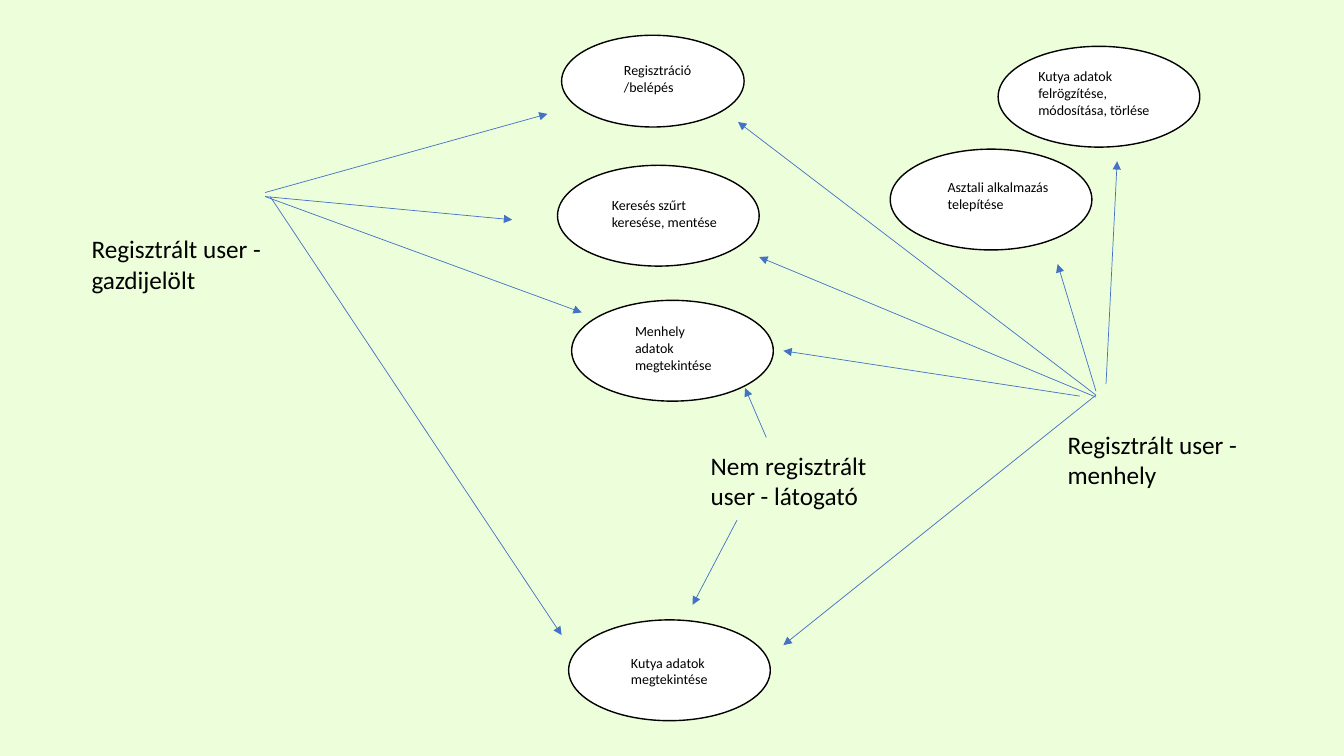
from dataclasses import dataclass

from lxml import etree
from pptx import Presentation
from pptx.dml.color import RGBColor
from pptx.enum.shapes import MSO_CONNECTOR, MSO_SHAPE
from pptx.enum.text import MSO_AUTO_SIZE
from pptx.oxml.ns import qn
from pptx.slide import Slide
from pptx.util import Emu, Pt

EMU_PER_PX = 9144
ELLIPSE = MSO_SHAPE.OVAL
STRAIGHT = MSO_CONNECTOR.STRAIGHT
FIT_TEXT = MSO_AUTO_SIZE.SHAPE_TO_FIT_TEXT

BACKGROUND = RGBColor(0xED, 0xFE, 0xDA)
WHITE = RGBColor(0xFF, 0xFF, 0xFF)
BLACK = RGBColor(0x00, 0x00, 0x00)
BLUE = RGBColor(0x44, 0x72, 0xC4)

FRAME_FORMAT = {"word_wrap": True, "auto_size": FIT_TEXT}
ACTOR_SIZE = 18
CASE_SIZE = 10


@dataclass(frozen=True)
class Box:
    left: int
    top: int
    width: int
    height: int

    def emu(self) -> tuple[Emu, Emu, Emu, Emu]:
        return px(self.left), px(self.top), px(self.width), px(self.height)


@dataclass(frozen=True)
class Label:
    text: str
    box: Box


@dataclass(frozen=True)
class UseCase:
    ellipse: Box
    label: Label


@dataclass(frozen=True)
class Arrow:
    start: tuple[int, int]
    end: tuple[int, int]


ACTORS = [
    Label("Regisztrált user - gazdijelölt", Box(81, 227, 195, 71)),
    Label("Regisztrált user - menhely", Box(1049, 421, 195, 71)),
    Label("Nem regisztrált user - látogató", Box(695, 442, 195, 71)),
]

USE_CASES = [
    UseCase(Box(557, 35, 181, 91),
            Label("Regisztráció/belépés", Box(609, 56, 88, 44))),
    UseCase(Box(553, 164, 200, 100),
            Label("Keresés szűrt keresése, mentése", Box(597, 190, 134, 44))),
    UseCase(Box(567, 298, 200, 100),
            Label("Menhely adatok megtekintése", Box(620, 315, 107, 61))),
    UseCase(Box(990, 46, 200, 100),
            Label("Kutya adatok felrögzítése, módosítása, törlése",
                  Box(1020, 62, 142, 61))),
    UseCase(Box(883, 148, 200, 100),
            Label("Asztali alkalmazás telepítése", Box(930, 172, 128, 44))),
    UseCase(Box(564, 615, 200, 100),
            Label("Kutya adatok megtekintése", Box(616, 644, 132, 44))),
]

ADOPTER_ARROWS = [
    Arrow((263, 191), (543, 113)),
    Arrow((263, 195), (508, 218)),
    Arrow((263, 195), (577, 310)),
    Arrow((268, 195), (557, 630)),
]
VISITOR_ARROWS = [
    Arrow((731, 516), (687, 600)),
    Arrow((760, 434), (739, 385)),
]
SHELTER_ARROWS = [
    Arrow((1087, 394), (753, 255)),
    Arrow((1087, 392), (777, 640)),
    Arrow((1071, 393), (777, 348)),
    Arrow((1087, 392), (732, 121)),
    Arrow((1087, 388), (1049, 262)),
    Arrow((1097, 381), (1108, 160)),
]


def px(value: int) -> Emu:
    return Emu(value * EMU_PER_PX)


def add_label(s: Slide, label: Label, size: int) -> None:
    tf = s.shapes.add_textbox(*label.box.emu()).text_frame
    for name, value in FRAME_FORMAT.items():
        setattr(tf, name, value)
    r = tf.paragraphs[0].add_run()
    r.text = label.text
    for name, value in {"name": "Calibri", "size": Pt(size)}.items():
        setattr(r.font, name, value)
    r.font.color.rgb = BLACK


def add_ellipse(s: Slide, box: Box) -> None:
    sp = s.shapes.add_shape(ELLIPSE, *box.emu())
    sp.shadow.inherit = False
    sp.fill.solid()
    sp.fill.fore_color.rgb = WHITE
    sp.line.color.rgb = BLACK
    sp.line.width = Pt(1)


def add_arrow(s: Slide, arrow: Arrow) -> None:
    ends = (px(value) for value in arrow.start + arrow.end)
    cxn = s.shapes.add_connector(STRAIGHT, *ends)
    cxn.line.color.rgb = BLUE
    cxn.line.width = Pt(0.5)
    sp_pr = cxn.element.spPr
    etree.SubElement(sp_pr.find(qn("a:ln")), qn("a:tailEnd"), type="triangle")
    etree.SubElement(sp_pr, qn("a:effectLst"))


def main() -> None:
    prs = Presentation()
    prs.slide_width, prs.slide_height = px(1333), px(750)
    s = prs.slides.add_slide(prs.slide_layouts[6])
    s.background.fill.solid()
    s.background.fill.fore_color.rgb = BACKGROUND

    for actor in ACTORS:
        add_label(s, actor, ACTOR_SIZE)
    for case in USE_CASES:
        add_ellipse(s, case.ellipse)
        add_label(s, case.label, CASE_SIZE)
    for arrow in ADOPTER_ARROWS + VISITOR_ARROWS + SHELTER_ARROWS:
        add_arrow(s, arrow)

    prs.save("out.pptx")


if __name__ == "__main__":
    main()
